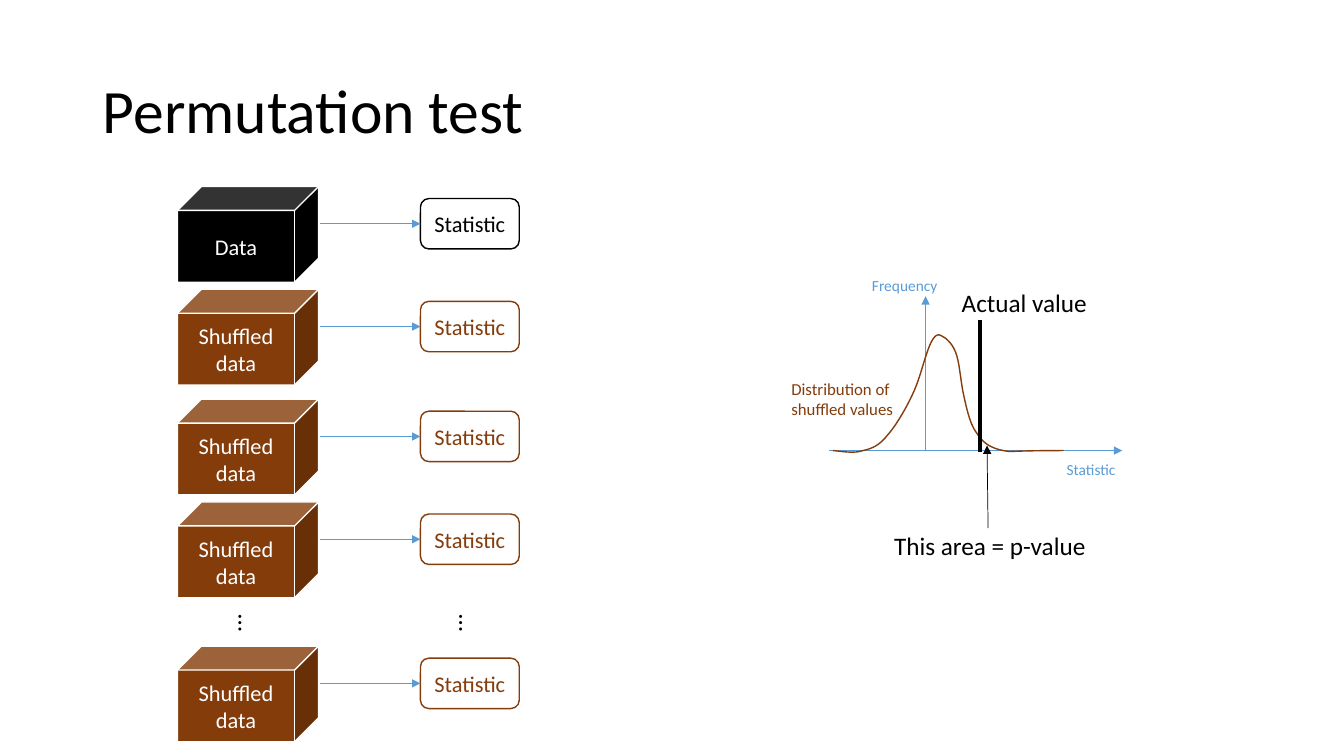
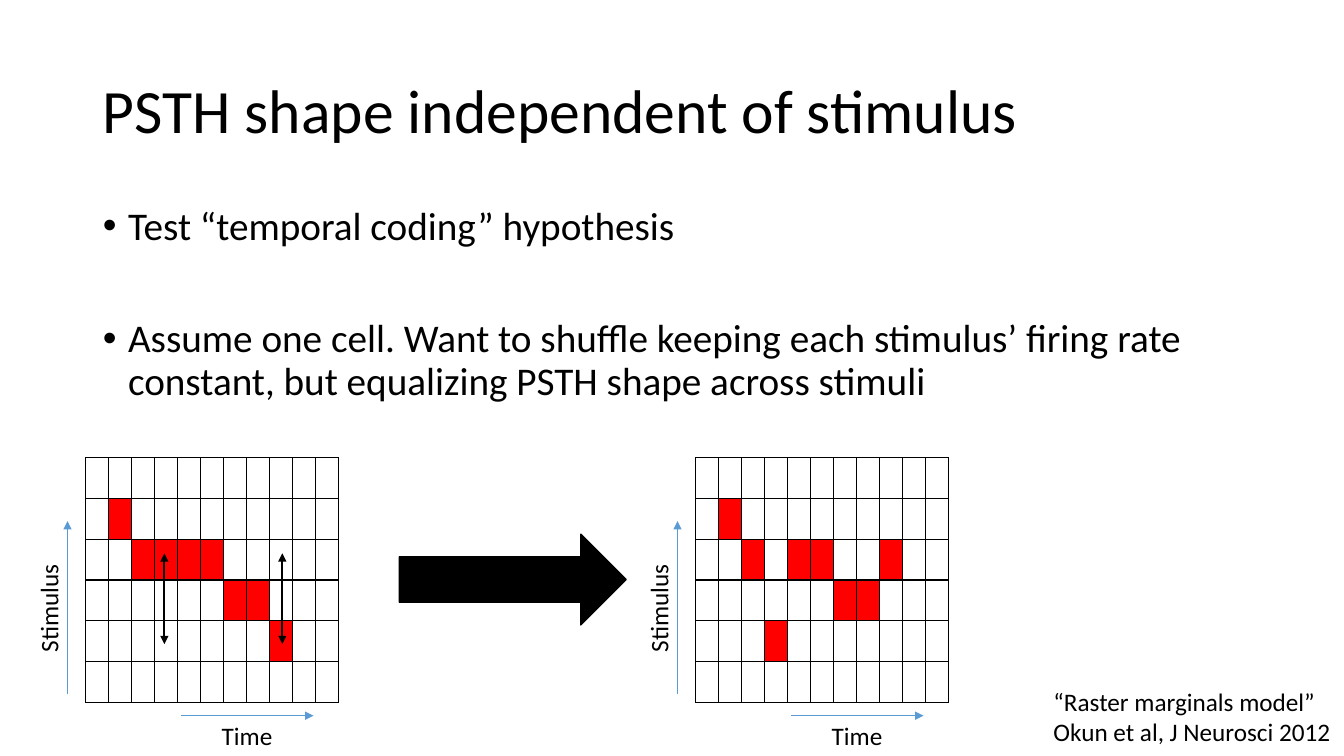
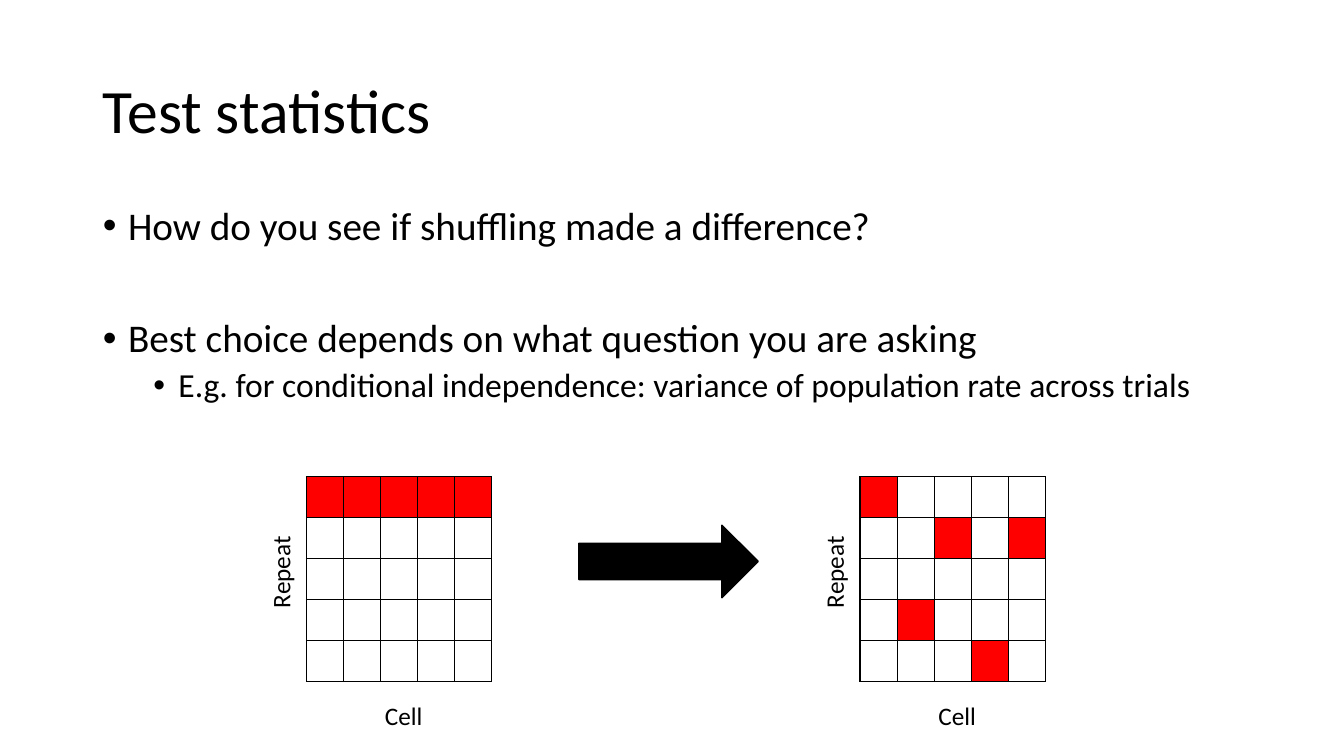
from dataclasses import dataclass

from lxml import etree
from pptx import Presentation
from pptx.dml.color import RGBColor
from pptx.enum.shapes import MSO_CONNECTOR, MSO_SHAPE
from pptx.enum.text import MSO_ANCHOR, MSO_AUTO_SIZE, PP_ALIGN
from pptx.oxml.ns import qn
from pptx.util import Emu, Pt

PX = 9144  # 100 px to the inch
FONT = "Calibri"
COLORS = {
    "black": "000000",
    "white": "FFFFFF",
    "brown": "843C0B",
    "blue": "5B9BD5",
    "red": "FF0000",
}
STRAIGHT = MSO_CONNECTOR.STRAIGHT
CUBE = MSO_SHAPE.CUBE
ROUNDED = MSO_SHAPE.ROUNDED_RECTANGLE
RIGHT_ARROW = MSO_SHAPE.RIGHT_ARROW
CENTER, LEFT = PP_ALIGN.CENTER, PP_ALIGN.LEFT
MIDDLE, TOP = MSO_ANCHOR.MIDDLE, MSO_ANCHOR.TOP
FIT_SHAPE, NO_FIT = MSO_AUTO_SIZE.SHAPE_TO_FIT_TEXT, MSO_AUTO_SIZE.NONE
LAYOUT_BODY, LAYOUT_TITLE_ONLY = 1, 5


@dataclass(frozen=True)
class Box:
    x: int
    y: int
    w: int
    h: int

    def emu(self) -> list[Emu]:
        return [px(v) for v in (self.x, self.y, self.w, self.h)]


@dataclass(frozen=True)
class Label:
    text: str
    box: Box
    size: int = 18
    color: str = "black"
    rotation: int = 0
    wrap: bool = False


@dataclass(frozen=True)
class Line:
    x1: int
    y1: int
    x2: int
    y2: int
    color: str = "blue"
    width: float = 0.5
    head: bool = False
    tail: bool = True


@dataclass(frozen=True)
class Bullet:
    text: str
    before: int
    size: int = 28
    margin: int = 25


@dataclass(frozen=True)
class Sample:
    y: int
    text: str = "Shuffled data"
    color: str = "brown"


TITLE_BOX = Box(92, 40, 1150, 145)
AFTER_GAP = 50  # points before a bullet that opens a new block

SAMPLES = [
    Sample(185, "Data", "black"),
    Sample(287),
    Sample(396),
    Sample(498),
    Sample(641),
]
PERMUTATION_LABELS = [
    Label("Statistic", Box(1048, 452, 69, 29), 11, "blue"),
    Label("Frequency", Box(855, 269, 86, 29), 11, "blue"),
    Label("Actual value", Box(944, 280, 146, 40)),
    Label("Distribution of shuffled values", Box(775, 371, 131, 50), 12, "brown", wrap=True),
    Label("This area = p-value", Box(877, 521, 213, 40)),
    Label("…", Box(225, 601, 43, 40), rotation=90),
    Label("…", Box(444, 601, 43, 40), rotation=90),
]
PLOT_AXES = [Line(822, 447, 1113, 447), Line(918, 447, 918, 294)]
PLOT_MARKS = [
    Line(972, 448, 972, 317, "black", 3, tail=False),
    Line(980, 524, 979, 442, "black"),
]
CURVE_START = (826, 447)
CURVE = [  # two control points and an end point for each cubic
    ((837, 448), (847, 450), (856, 447)),
    ((865, 445), (872, 442), (880, 432)),
    ((889, 422), (900, 403), (907, 387)),
    ((914, 371), (919, 346), (925, 337)),
    ((930, 329), (933, 333), (937, 335)),
    ((941, 338), (946, 343), (949, 353)),
    ((952, 363), (953, 380), (956, 393)),
    ((959, 406), (962, 421), (969, 430)),
    ((975, 439), (981, 444), (995, 447)),
    ((1007, 449), (994, 447), (1055, 447)),
]

PSTH_BEFORE = [
    "...........",
    ".#.........",
    "..####.....",
    "......##...",
    "........#..",
    "...........",
]
PSTH_AFTER = [
    "...........",
    ".#.........",
    "..#.##..#..",
    "......##...",
    "...#.......",
    "...........",
]
REPEATS_BEFORE = ["#####", ".....", ".....", ".....", "....."]
REPEATS_AFTER = ["#....", "..#.#", ".....", ".#...", "...#."]


def px(value: float) -> Emu:
    return Emu(round(value * PX))


def rgb(name: str) -> RGBColor:
    return RGBColor.from_string(COLORS[name])


def style_runs(p, size: int, color: str) -> None:
    for r in p.runs:
        for name, value in {"name": FONT, "size": Pt(size)}.items():
            setattr(r.font, name, value)
        r.font.color.rgb = rgb(color)


def new_slide(prs, layout: int, title: str):
    s = prs.slides.add_slide(prs.slide_layouts[layout])
    sp = s.shapes.title
    sp.left, sp.top, sp.width, sp.height = TITLE_BOX.emu()
    tf = sp.text_frame
    tf.auto_size, tf.vertical_anchor = NO_FIT, MIDDLE
    p = tf.paragraphs[0]
    p.text = title
    p.alignment, p.line_spacing = LEFT, 0.9
    style_runs(p, 44, "black")
    return s


def fill_body(s, box: Box, bullets: list[Bullet]) -> None:
    sp = s.placeholders[1]
    sp.left, sp.top, sp.width, sp.height = box.emu()
    tf = sp.text_frame
    tf.auto_size, tf.vertical_anchor = NO_FIT, TOP
    for i, bullet in enumerate(bullets):
        p = tf.add_paragraph() if i else tf.paragraphs[0]
        p.text = bullet.text
        p.level = int(bullet.margin > 25)
        props = p._p.get_or_add_pPr()
        props.set("marL", str(px(bullet.margin)))
        props.set("indent", str(px(-25)))
        etree.SubElement(props, qn("a:buFont"), typeface="Arial")
        etree.SubElement(props, qn("a:buChar"), char="•")
        p.line_spacing, p.space_before = 0.9, Pt(bullet.before)
        style_runs(p, bullet.size, "black")


def add_label(s, label: Label) -> None:
    sp = s.shapes.add_textbox(*label.box.emu())
    sp.rotation = label.rotation
    tf = sp.text_frame
    tf.word_wrap, tf.auto_size = label.wrap, FIT_SHAPE
    p = tf.paragraphs[0]
    p.text = label.text
    style_runs(p, label.size, label.color)


def add_block(s, kind, box: Box, fill: str, line: str, text: str = "", color: str = "white"):
    sp = s.shapes.add_shape(kind, *box.emu())
    sp.shadow.inherit = False
    sp.fill.solid()
    sp.fill.fore_color.rgb = rgb(fill)
    sp.line.color.rgb, sp.line.width = rgb(line), Pt(1)
    if text:
        p = sp.text_frame.paragraphs[0]
        p.text, p.alignment = text, CENTER
        style_runs(p, 16, color)
    return sp


def add_line(s, line: Line):
    sp = s.shapes.add_connector(STRAIGHT, *map(px, (line.x1, line.y1, line.x2, line.y2)))
    sp.line.color.rgb, sp.line.width = rgb(line.color), Pt(line.width)
    ln = sp.line._get_or_add_ln()
    for tag, shown in {"a:headEnd": line.head, "a:tailEnd": line.tail}.items():
        if shown:
            etree.SubElement(ln, qn(tag), type="triangle")
    etree.SubElement(sp._element.spPr, qn("a:effectLst"))
    return sp


def add_sample(s, sample: Sample) -> None:
    """Draw one cube of data, its statistic and the arrow between them."""
    y, color = sample.y, sample.color
    add_block(s, CUBE, Box(176, y, 140, 95), color, "white", sample.text)
    statistic = add_block(s, ROUNDED, Box(417, y + 12, 98, 50), "white", color, "Statistic", color)
    arrow = add_line(s, Line(317, y + 37, 417, y + 37))
    arrow.end_connect(statistic, 1)


def add_curve(s, steps: int = 12) -> None:
    """Draw the distribution, sampling each cubic at equal steps."""
    points, start = [], CURVE_START
    for c1, c2, end in CURVE:
        for i in range(1, steps + 1):
            t = i / steps
            u = 1 - t
            weights = (u**3, 3 * u * u * t, 3 * u * t * t, t**3)
            corners = (start, c1, c2, end)
            points.append(tuple(
                px(sum(w * c[axis] for w, c in zip(weights, corners))) for axis in (0, 1)
            ))
        start = end
    builder = s.shapes.build_freeform(*map(px, CURVE_START))
    builder.add_line_segments(points, close=False)
    sp = builder.convert_to_shape()
    sp.shadow.inherit = False
    sp.fill.background()
    sp.line.color.rgb, sp.line.width = rgb("brown"), Pt(1)


def add_border(cell) -> None:
    props = cell._tc.get_or_add_tcPr()
    for side in ("lnL", "lnR", "lnT", "lnB"):
        ln = etree.SubElement(props, qn(f"a:{side}"), w=str(Pt(1)))
        fill = etree.SubElement(ln, qn("a:solidFill"))
        etree.SubElement(fill, qn("a:srgbClr"), val=COLORS["black"])


def add_raster(s, box: Box, pattern: list[str]) -> None:
    """Draw a grid in which each # of the pattern is a red cell."""
    rows, cols = len(pattern), len(pattern[0])
    table = s.shapes.add_table(rows, cols, *box.emu()).table
    table.first_row = table.horz_banding = False
    for col in table.columns:
        col.width = px(box.w / cols)
    for row, marks in zip(table.rows, pattern):
        row.height = px(box.h / rows)
        for cell, mark in zip(row.cells, marks):
            for side in ("left", "right", "top", "bottom"):
                setattr(cell, f"margin_{side}", 0)
            add_border(cell)
            cell.fill.solid()
            cell.fill.fore_color.rgb = rgb("red" if mark == "#" else "white")


def permutation_slide(prs) -> None:
    s = new_slide(prs, LAYOUT_TITLE_ONLY, "Permutation test")
    for sample in SAMPLES:
        add_sample(s, sample)
    for line in PLOT_AXES:
        add_line(s, line)
    add_curve(s)
    for line in PLOT_MARKS:
        add_line(s, line)
    for label in PERMUTATION_LABELS:
        add_label(s, label)


def psth_slide(prs) -> None:
    s = new_slide(prs, LAYOUT_BODY, "PSTH shape independent of stimulus")
    fill_body(s, Box(92, 200, 1150, 476), [
        Bullet("Test “temporal coding” hypothesis", 0),
        Bullet("Assume one cell. Want to shuffle keeping each stimulus’ firing rate "
               "constant, but equalizing PSTH shape across stimuli", AFTER_GAP),
    ])
    for x, pattern in ((85, PSTH_BEFORE), (690, PSTH_AFTER)):
        add_raster(s, Box(x, 454, 251, 243), pattern)
        add_line(s, Line(x + 95, 710, x + 226, 710))
        add_line(s, Line(x - 18, 689, x - 18, 517))
        add_label(s, Label("Time", Box(x + 125, 710, 71, 40)))
        add_label(s, Label("Stimulus", Box(x - 91, 583, 108, 40), rotation=270))
    for x in (163, 280):
        add_line(s, Line(x, 639, x, 549, "black", 1.5, head=True))
    add_block(s, RIGHT_ARROW, Box(396, 530, 225, 90), "black", "black")
    add_label(s, Label("“Raster marginals model”\nOkun et al, J Neurosci 2012",
                       Box(1035, 676, 298, 71)))


def statistics_slide(prs) -> None:
    s = new_slide(prs, LAYOUT_BODY, "Test statistics")
    fill_body(s, Box(92, 200, 1204, 476), [
        Bullet("How do you see if shuffling made a difference?", 0),
        Bullet("Best choice depends on what question you are asking", AFTER_GAP),
        Bullet("E.g. for conditional independence: variance of population rate across trials",
               5, 24, 75),
    ])
    for x, pattern in ((304, REPEATS_BEFORE), (853, REPEATS_AFTER)):
        add_raster(s, Box(x, 473, 184, 203), pattern)
        add_label(s, Label("Cell", Box(x + 68, 690, 64, 40)))
        add_label(s, Label("Repeat", Box(x - 72, 547, 92, 40), rotation=270))
    add_block(s, RIGHT_ARROW, Box(574, 521, 178, 72), "black", "black")


def main() -> None:
    prs = Presentation()
    prs.slide_width, prs.slide_height = px(1333), px(750)
    for build in (permutation_slide, psth_slide, statistics_slide):
        build(prs)
    prs.save("out.pptx")


if __name__ == "__main__":
    main()
